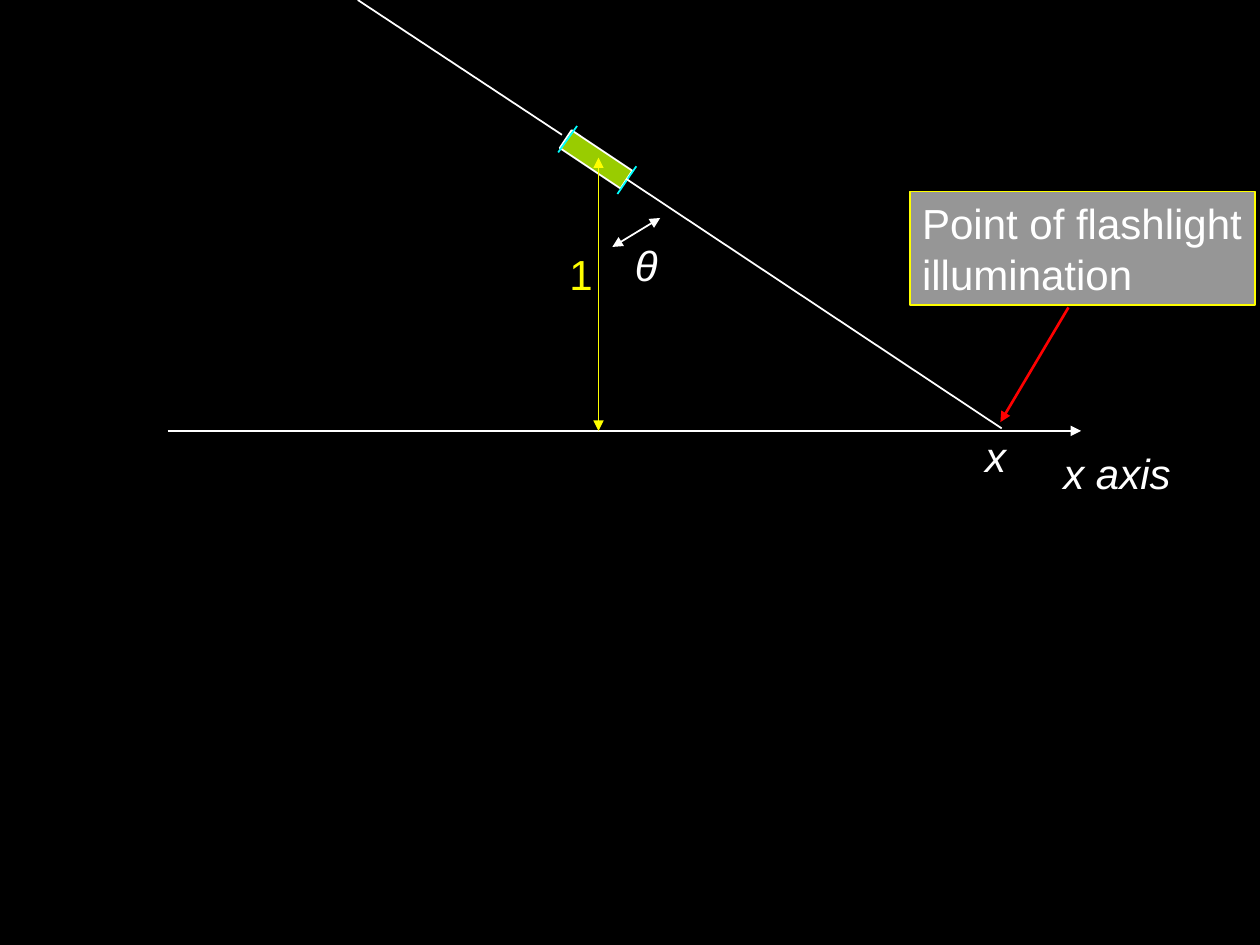
import lxml.etree
import pptx
import pptx.dml.color
import pptx.enum.shapes
import pptx.enum.text
import pptx.oxml.ns
import pptx.util

THEME = {
    "font": "Arial", "size": 24, "thin": 1, "thick": 1.5,
    "background": "000000", "white": "FFFFFF", "yellow": "FFFF00",
    "cyan": "00FFFF", "red": "FF0000", "green": "99CC00", "gray": "969696",
}

# Positions are in grid cells: 100 columns by 75 rows
COLUMNS, ROWS = 100, 75
AXIS_ROW = 34.2
FLASHLIGHT = {"box": (44.4, 11.8, 5.8, 1.7), "rotation": 33.7}

# Start, end, colour, weight, arrowheads
LINES = [
    ((13.3, AXIS_ROW), (85.8, AXIS_ROW), "white", "thick", ("tailEnd",)),  # x axis
    ((49, 15.4), (50.5, 13.2), "cyan", "thin", ()),                        # flashlight front
    ((44.3, 12.1), (45.8, 10), "cyan", "thin", ()),                        # flashlight back
    ((49.7, 14.2), (79.5, 34), "white", "thin", ()),                       # beam
    ((28.4, 0), (44.6, 10.7), "white", "thin", ()),                        # beam backwards
    ((47.5, AXIS_ROW), (47.5, 12.5), "yellow", "thin", ("headEnd", "tailEnd")),  # height
    ((84.8, 24.4), (79.4, 33.5), "red", "thick", ("tailEnd",)),            # pointer
    ((48.6, 19.6), (52.4, 17.3), "white", "thin", ("headEnd", "tailEnd")), # angle
]

# Paragraphs, box, format
LABELS = [
    (["x axis"], (83.4, 35, 10.5, 5), {"italic": True}),
    (["1"], (44.2, 19.2, 3.8, 5), {"color": "yellow"}),
    (["θ"], (49.4, 18.5, 3.7, 5), {"italic": True}),
    (["x"], (77.2, 33.7, 3.6, 5), {"italic": True}),
    (["Point of flashlight", "illumination"], (72.2, 15.2, 27.4, 9),
     {"fill": "gray", "outline": "yellow"}),
]

presentation = pptx.Presentation()
presentation.slide_width = pptx.util.Inches(10)
presentation.slide_height = pptx.util.Inches(7.5)
slide = presentation.slides.add_slide(presentation.slide_layouts[6])


def rgb(name):
    return pptx.dml.color.RGBColor.from_string(THEME[name])


def place(column, row):
    return (round(presentation.slide_width * column / COLUMNS),
            round(presentation.slide_height * row / ROWS))


def paint(shape, fill, outline):
    shape.fill.solid()
    shape.fill.fore_color.rgb = rgb(fill)
    shape.line.color.rgb = rgb(outline)
    shape.line.width = pptx.util.Pt(THEME["thin"])


def add_text(paragraphs, box, color="white", italic=False, fill=None, outline=None):
    shape = slide.shapes.add_textbox(*place(*box[:2]), *place(*box[2:]))
    if fill:
        paint(shape, fill, outline)
    frame = shape.text_frame
    frame.word_wrap = False
    frame.auto_size = pptx.enum.text.MSO_AUTO_SIZE.SHAPE_TO_FIT_TEXT
    frame.text = "\n".join(paragraphs)
    for paragraph in frame.paragraphs:
        font = paragraph.runs[0].font
        font.name = THEME["font"]
        font.size = pptx.util.Pt(THEME["size"])
        font.italic = italic
        font.color.rgb = rgb(color)


def add_line(start, end, color, weight, arrowheads):
    connector = slide.shapes.add_connector(
        pptx.enum.shapes.MSO_CONNECTOR.STRAIGHT, *place(*start), *place(*end))
    connector.line.color.rgb = rgb(color)
    connector.line.width = pptx.util.Pt(THEME[weight])
    properties = connector.line._get_or_add_ln()
    for arrowhead in arrowheads:
        lxml.etree.SubElement(
            properties, pptx.oxml.ns.qn(f"a:{arrowhead}"), type="triangle")
    lxml.etree.SubElement(properties.getparent(), pptx.oxml.ns.qn("a:effectLst"))


# Background
slide.background.fill.solid()
slide.background.fill.fore_color.rgb = rgb("background")

# Flashlight body
box = FLASHLIGHT["box"]
flashlight = slide.shapes.add_shape(
    pptx.enum.shapes.MSO_SHAPE.RECTANGLE, *place(*box[:2]), *place(*box[2:]))
flashlight.rotation = FLASHLIGHT["rotation"]
flashlight.shadow.inherit = False
paint(flashlight, "green", "white")

# Axis, beam and arrows
for line in LINES:
    add_line(*line)

# Labels
for paragraphs, box, text_format in LABELS:
    add_text(paragraphs, box, **text_format)

presentation.save("out.pptx")
